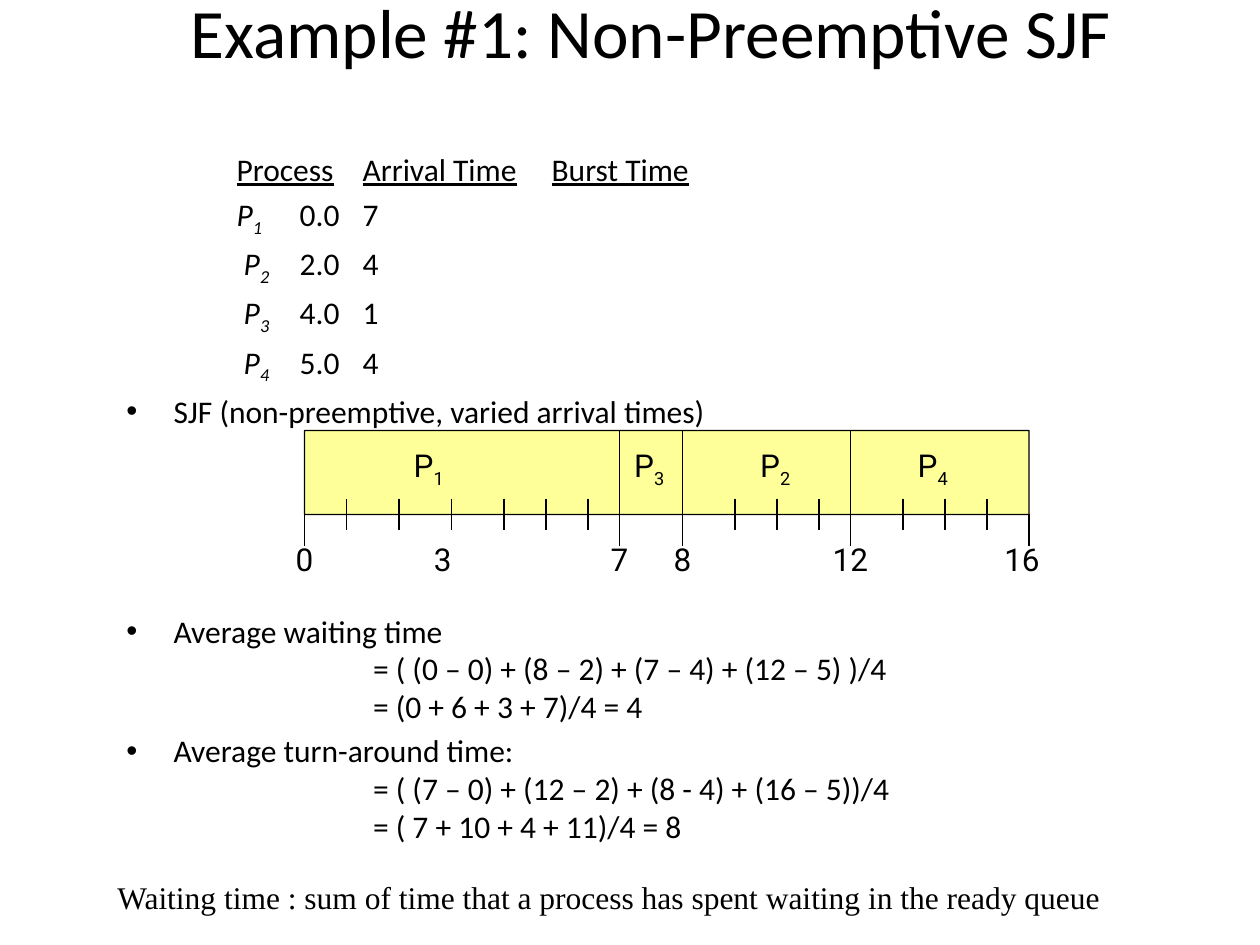
import pptx
import pptx.util
import pptx.dml.color
import pptx.enum.shapes
import pptx.enum.text
import pptx.oxml
import pptx.oxml.ns

Pt = pptx.util.Pt
BLACK = pptx.dml.color.RGBColor(0, 0, 0)
YELLOW = pptx.dml.color.RGBColor(0xFF, 0xFF, 0x99)
ALIGN = pptx.enum.text.PP_ALIGN
ANCHOR = pptx.enum.text.MSO_ANCHOR
ROUND = pptx.enum.shapes.MSO_SHAPE.ROUNDED_RECTANGLE
STRAIGHT = pptx.enum.shapes.MSO_CONNECTOR.STRAIGHT

UNIT = 6
WALLS = [0, 30, 36, 52, 69]
TICKS = [4, 9, 14, 19, 23, 27, 41, 45, 49, 57, 61, 65]
NAMES = [("1", 71), ("3", 197), ("2", 269), ("4", 359)]
TIMES = [("0", 0), ("3", 79), ("7", 180), ("8", 216), ("12", 312), ("16", 410)]
ROWS = [("P", "1", "0.0", "7"), (" P", "2", "2.0", "4"),
        (" P", "3", "4.0", "1"), (" P", "4", "5.0", "4")]
SUMS = [
    ("Average waiting time", 104,
     ["= ( (0 – 0) + (8 – 2) + (7 – 4) + (12 – 5) )/4",
      "= (0 + 6 + 3 + 7)/4 = 4"]),
    ("Average turn-around time:", 3.6,
     ["= ( (7 – 0) + (12 – 2) + (8 - 4) + (16 – 5))/4",
      "= ( 7 + 10 + 4 + 11)/4 = 8"]),
]


def write(para, text, face="Calibri", size=18, line=None, slant=None, sub=False):
    """Add one run of text to a paragraph in the given format."""
    run = para.add_run()
    run.text = text
    font = run.font
    font.name, font.size = face, Pt(size)
    font.underline, font.italic = line, slant
    font.color.rgb = BLACK
    if sub:
        run._r.get_or_add_rPr().set("baseline", "-25000")


def place(shape, left, top, width, height):
    """Move and size a shape."""
    shape.left, shape.top = Pt(left), Pt(top)
    shape.width, shape.height = Pt(width), Pt(height)


def head(slide, left, top, width, height):
    """Fill the title."""
    title = slide.shapes.title
    place(title, left, top, width, height)
    frame = title.text_frame
    frame.auto_size = pptx.enum.text.MSO_AUTO_SIZE.NONE
    frame.vertical_anchor = ANCHOR.MIDDLE
    para = frame.paragraphs[0]
    para.alignment = ALIGN.CENTER
    para.line_spacing = 0.93
    write(para, "Example #1: Non-Preemptive SJF", size=39.6)


def start(frame, gap=3.6, left=27, hang=27, dot=False):
    """Begin a paragraph of the list, with or without a bullet."""
    first = frame.paragraphs[0]
    para = frame.add_paragraph() if first.runs else first
    para.space_before = Pt(gap)
    props = para._p.get_or_add_pPr()
    props.set("marL", str(Pt(left)))
    props.set("indent", str(-Pt(hang)))
    mark = pptx.oxml.parse_xml(
        "<a:%s %s/>" % ('buChar char="•"' if dot else "buNone",
                        pptx.oxml.ns.nsdecls("a")))
    props.append(mark)
    return para


def body(slide, left, top, width, height):
    """Fill the list with the process rows and the averages."""
    holder = slide.placeholders[1]
    place(holder, left, top, width, height)
    frame = holder.text_frame
    frame.auto_size = pptx.enum.text.MSO_AUTO_SIZE.NONE
    para = start(frame, gap=0)
    para.line_spacing = 0.93
    write(para, "\t\t")
    write(para, "Process\tArrival Time", line=True)
    write(para, "\t")
    write(para, "Burst Time", line=True)
    for name, index, came, burst in ROWS:
        para = start(frame)
        write(para, "\t\t")
        write(para, name, slant=True)
        write(para, index, slant=True, sub=True)
        write(para, f"\t{came}\t{burst}")
    write(start(frame, dot=True), "SJF (non-preemptive, varied arrival times)")
    for label, gap, lines in SUMS:
        write(start(frame, gap=gap, dot=True), label)
        for text in lines:
            write(start(frame, gap=0, left=141, hang=0), text)


def rule(group, left, top, end):
    """Draw an upright line."""
    line = group.shapes.add_connector(STRAIGHT, Pt(left), Pt(top), Pt(left), Pt(end))
    line.line.color.rgb = BLACK
    line.line.width = Pt(0.75)
    line._element.spPr.append(
        pptx.oxml.parse_xml("<a:effectLst %s/>" % pptx.oxml.ns.nsdecls("a")))


def block(group, left, top, width, height):
    """Add a plain box with barely rounded corners."""
    shape = group.shapes.add_shape(ROUND, Pt(left), Pt(top), Pt(width), Pt(height))
    shape.adjustments[0] = 0.004
    shape.shadow.inherit = False
    shape.fill.background()
    shape.line.fill.background()
    return shape


def label(group, mid, top, width, text, index=""):
    """Centre a label on a point of the chart."""
    frame = block(group, mid - width / 2, top, width, 28.8).text_frame
    frame.word_wrap = False
    frame.vertical_anchor = ANCHOR.MIDDLE
    para = frame.paragraphs[0]
    para.alignment = ALIGN.CENTER
    para.line_spacing = 0.93
    write(para, text, face="Roboto")
    if index:
        write(para, index, face="Roboto", sub=True)


def gantt(slide, left, top, width, height):
    """Draw the schedule bar with its ticks and labels."""
    group = slide.shapes.add_group_shape()
    bar = block(group, left, top, width, height)
    bar.fill.solid()
    bar.fill.fore_color.rgb = YELLOW
    bar.line.color.rgb = BLACK
    bar.line.width = Pt(0.75)
    base = top + height
    for step in WALLS:
        rule(group, left + step * UNIT, base, base + 18)
    for step in WALLS[1:-1]:
        rule(group, left + step * UNIT, top, base)
    for step in TICKS:
        rule(group, left + step * UNIT, base - 9, base + 9)
    for index, mid in NAMES:
        label(group, left + mid, top + 6, 33, "P", index)
    for time, mid in TIMES:
        label(group, left + mid, base + 12, 14.5 + 10 * len(time), time)


def note(slide, left, top, width, height):
    """Add the closing definition."""
    box = slide.shapes.add_textbox(Pt(left), Pt(top), Pt(width), Pt(height))
    box.text_frame.word_wrap = True
    write(box.text_frame.paragraphs[0],
          "Waiting time : sum of time that a process has spent waiting in the ready queue",
          face="Times New Roman")


def main():
    """Build and save the slide."""
    deck = pptx.Presentation()
    deck.slide_width, deck.slide_height = Pt(720), Pt(540)
    slide = deck.slides.add_slide(deck.slide_layouts[1])
    head(slide, 54, 0, 636, 40)
    body(slide, 65, 84, 579, 403)
    gantt(slide, 174, 246, 414, 48)
    note(slide, 60, 498, 582, 28.8)
    deck.save("out.pptx")


if __name__ == "__main__":
    main()
